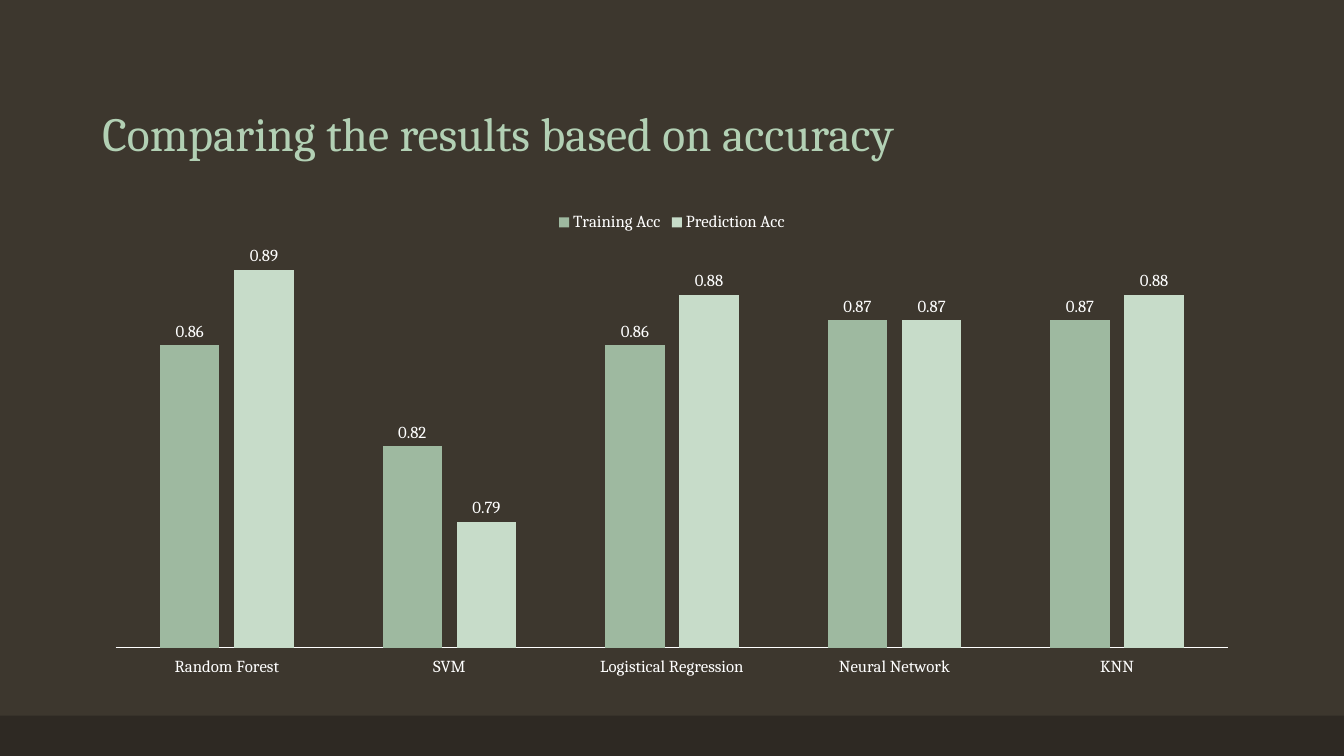
from dataclasses import dataclass
from typing import Any

from lxml.etree import SubElement
from pptx import Presentation
from pptx.chart.data import CategoryChartData
from pptx.dml.color import RGBColor as Rgb
from pptx.enum.chart import XL_CHART_TYPE as ChartType
from pptx.enum.chart import XL_LABEL_POSITION as LabelPosition
from pptx.enum.chart import XL_LEGEND_POSITION as LegendPosition
from pptx.enum.chart import XL_TICK_LABEL_POSITION as TickLabelPosition
from pptx.enum.chart import XL_TICK_MARK as TickMark
from pptx.enum.shapes import MSO_SHAPE as Preset
from pptx.enum.text import MSO_ANCHOR as Anchor
from pptx.oxml.ns import qn
from pptx.util import Inches, Pt


@dataclass(frozen=True)
class Theme:
    background: str = "3D372E"
    footer: str = "2E2923"
    heading: str = "B2D0B4"
    ink: str = "FFFFFF"
    face: str = "Cambria"
    heading_size: float = 34
    chart_size: float = 10
    label_size: float = 12
    axis_width: float = 0.75


@dataclass(frozen=True)
class Area:
    """A block of grid cells."""
    column: float
    row: float
    columns: float
    rows: float

    def box(self) -> tuple[int, int, int, int]:
        return (int(self.column * COLUMN), int(self.row * ROW),
                int(self.columns * COLUMN), int(self.rows * ROW))


@dataclass(frozen=True)
class Accuracy:
    name: str
    scores: tuple[float, ...]
    color: str


THEME = Theme()
WIDTH, HEIGHT = Inches(13.33), Inches(7.5)
COLUMN, ROW = WIDTH / 160, HEIGHT / 90

FOOTER = Area(0, 85.2, 160, 4.8)
HEADING = Area(11, 4.8, 138, 15)
COMPARISON = Area(11, 24, 138, 57.12)
PLOT_SHARES = {"x": 0.02, "y": 0.09, "w": 0.96, "h": 0.84}

MODELS = ("Random Forest", "SVM", "Logistical Regression", "Neural Network", "KNN")
ACCURACIES = (
    Accuracy("Training Acc", (0.86, 0.82, 0.86, 0.87, 0.87), "9EB9A0"),
    Accuracy("Prediction Acc", (0.89, 0.79, 0.88, 0.87, 0.88), "C7DCC9"),
)


def apply(target: Any, values: dict[str, Any]) -> None:
    for name, value in values.items():
        setattr(target, name, value)


def paint(fill: Any, color: str) -> None:
    fill.solid()
    fill.fore_color.rgb = Rgb.from_string(color)


def style_font(font: Any, size: float, color: str = THEME.ink) -> None:
    apply(font, {"name": THEME.face, "size": Pt(size), "bold": False})
    font.color.rgb = Rgb.from_string(color)


def add_footer(slide: Any) -> None:
    footer = slide.shapes.add_shape(Preset.RECTANGLE, *FOOTER.box())
    footer.shadow.inherit = False
    paint(footer.fill, THEME.footer)
    footer.line.fill.background()


def add_heading(slide: Any, wording: str) -> None:
    frame = slide.shapes.add_textbox(*HEADING.box()).text_frame
    apply(frame, {"word_wrap": True, "vertical_anchor": Anchor.BOTTOM})
    line = frame.paragraphs[0]
    apply(line, {"text": wording, "line_spacing": 0.9})
    style_font(line.runs[0].font, THEME.heading_size, THEME.heading)


def fix_plot_area(chart: Any) -> None:
    plot_area = chart.plots[0]._element.getparent()
    layout = plot_area.find(qn("c:layout"))
    if layout is None:
        layout = SubElement(plot_area, qn("c:layout"))
        plot_area.insert(0, layout)
    manual = SubElement(layout, qn("c:manualLayout"))
    settings = {"layoutTarget": "inner", "xMode": "edge", "yMode": "edge", **PLOT_SHARES}
    for name, value in settings.items():
        SubElement(manual, qn(f"c:{name}")).set("val", str(value))


def style_axes(chart: Any) -> None:
    models = chart.category_axis
    apply(models, {"major_tick_mark": TickMark.NONE, "minor_tick_mark": TickMark.NONE,
                   "tick_label_position": TickLabelPosition.LOW,
                   "has_major_gridlines": False})
    style_font(models.tick_labels.font, THEME.label_size)
    paint(models.format.line.fill, THEME.ink)
    models.format.line.width = Pt(THEME.axis_width)
    apply(chart.value_axis, {"visible": False, "has_major_gridlines": False,
                             "minimum_scale": 0.74, "maximum_scale": 0.9})


def add_comparison(slide: Any) -> None:
    results = CategoryChartData(number_format="0.00")
    results.categories = MODELS
    for accuracy in ACCURACIES:
        results.add_series(accuracy.name, accuracy.scores)
    chart = slide.shapes.add_chart(
        ChartType.COLUMN_CLUSTERED, *COMPARISON.box(), results).chart
    style_font(chart.font, THEME.chart_size)
    apply(chart, {"has_title": False, "has_legend": True})
    apply(chart.legend, {"position": LegendPosition.TOP, "include_in_layout": False})
    style_font(chart.legend.font, THEME.label_size)
    style_axes(chart)
    fix_plot_area(chart)

    # Columns and their values
    columns = chart.plots[0]
    apply(columns, {"gap_width": 150, "overlap": -25, "vary_by_categories": False})
    for series, accuracy in zip(columns.series, ACCURACIES):
        paint(series.format.fill, accuracy.color)
        series.invert_if_negative = False
        labels = series.data_labels
        apply(labels, {"show_value": True, "position": LabelPosition.OUTSIDE_END})
        style_font(labels.font, THEME.label_size)


def main() -> None:
    deck = Presentation()
    apply(deck, {"slide_width": WIDTH, "slide_height": HEIGHT})
    slide = deck.slides.add_slide(deck.slide_layouts[6])
    paint(slide.background.fill, THEME.background)
    add_footer(slide)
    add_heading(slide, "Comparing the results based on accuracy")
    add_comparison(slide)
    deck.save("out.pptx")


if __name__ == "__main__":
    main()
